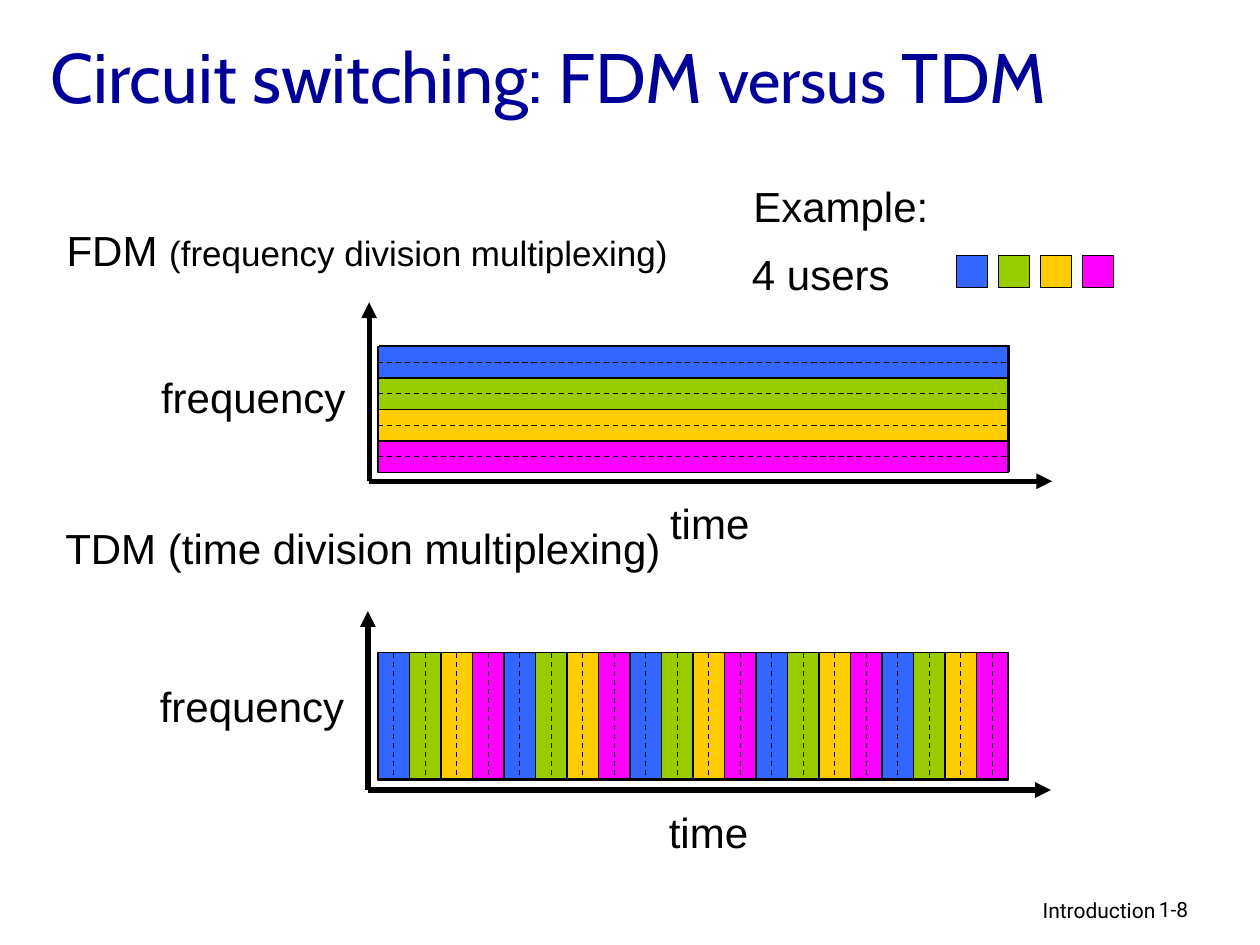
from lxml import etree
from pptx import Presentation
from pptx.dml.color import RGBColor
from pptx.enum import dml, shapes, text
from pptx.oxml.ns import qn
from pptx.util import Inches, Pt

COLORS = {"ink": "000000", "title": "000099", "frame": "00CC99",
          "blue": "3366FF", "green": "99CC00", "gold": "FFCC00", "pink": "FF00FF"}
USERS = ["blue", "green", "gold", "pink"]
BAND = 0.25  # width of one frequency band or time slot


def color(name):
    return RGBColor.from_string(COLORS[name])


def add_spans(para, spans, font, ink="ink"):
    for words, size in spans:
        span = para.add_run()
        span.text = words
        span.font.name = font
        span.font.size = Pt(size)
        span.font.color.rgb = color(ink)


def add_label(page, left, top, width, height, spans, font="Arial",
              wrap=False, align=text.PP_ALIGN.LEFT):
    box = page.shapes.add_textbox(Inches(left), Inches(top), Inches(width), Inches(height))
    frame = box.text_frame
    frame.word_wrap = wrap
    if not wrap:
        frame.auto_size = text.MSO_AUTO_SIZE.SHAPE_TO_FIT_TEXT
    frame.paragraphs[0].alignment = align
    add_spans(frame.paragraphs[0], spans, font)


def add_block(page, left, top, width, height, fill):
    block = page.shapes.add_shape(shapes.MSO_SHAPE.RECTANGLE, Inches(left), Inches(top),
                                  Inches(width), Inches(height))
    block.shadow.inherit = False
    block.fill.solid()
    block.fill.fore_color.rgb = color(fill)
    block.line.color.rgb = color("ink")
    block.line.width = Pt(0.75)


def add_line(page, x1, y1, x2, y2, weight=0.75, dashed=False, arrow=False):
    line = page.shapes.add_connector(shapes.MSO_CONNECTOR.STRAIGHT, Inches(x1), Inches(y1),
                                     Inches(x2), Inches(y2))
    line.line.color.rgb = color("ink")
    line.line.width = Pt(weight)
    if dashed:
        line.line.dash_style = dml.MSO_LINE.DASH
    if arrow:
        etree.SubElement(line.line._get_or_add_ln(), qn("a:tailEnd"), type="triangle")
    etree.SubElement(line._element.spPr, qn("a:effectLst"))


def add_title(page):
    title = page.shapes.title
    title.left, title.top = Inches(0.3), Inches(0.08)
    title.width, title.height = Inches(9.26), Inches(1.04)
    title.text_frame.vertical_anchor = text.MSO_ANCHOR.MIDDLE
    para = title.text_frame.paragraphs[0]
    para.alignment = text.PP_ALIGN.LEFT
    add_spans(para, [("Circuit switching: FDM ", 40), ("versus", 36), (" TDM", 40)],
              "Cabin", "title")


def add_axes(page, left, top):
    """Frequency and time axes; left and top give the tip of the upright one."""
    base = top + 1.42
    add_line(page, left, base, left, top, 3, arrow=True)
    add_line(page, left, base, left + 5.42, base, 3, arrow=True)
    add_label(page, left - 1.75, top + 0.5, 1.67, 0.5, [("frequency", 24)])
    add_label(page, left + 2.29, top + 1.5, 0.83, 0.5, [("time", 24)])
    add_block(page, left + 0.08, top + 0.34, 5, 1, "frame")


def add_bands(page, left, top, width, height, upright):
    """Fill the box with user bands: side by side if upright, else stacked."""
    count = round((width if upright else height) / BAND)

    def rule(step, dashed):
        shift = step * BAND
        if upright:
            add_line(page, left + shift, top, left + shift, top + height, dashed=dashed)
        else:
            add_line(page, left, top + shift, left + width, top + shift, dashed=dashed)

    for i in range(count):
        user = USERS[i % len(USERS)]
        if upright:
            add_block(page, left + i * BAND, top, BAND, height, user)
        else:
            add_block(page, left, top + i * BAND, width, BAND, user)
    for i in range(1, count):
        rule(i, dashed=False)
    for i in range(count):
        rule(i + 0.5, dashed=True)


def add_legend(page, left, top):
    add_label(page, left + 0.01, top, 1.59, 0.5, [("Example:", 24)])
    add_label(page, left, top + 0.54, 1.3, 0.5, [("4 users", 24)])
    for i, user in enumerate(USERS):
        add_block(page, left + 1.72 + i / 3, top + 0.65, BAND, BAND, user)


def add_footer(page, left, top):
    add_label(page, left, top, 3.17, 0.31, [("Introduction", 12)], "Roboto",
              wrap=True, align=text.PP_ALIGN.RIGHT)
    add_label(page, left + 3, top, 0.74, 0.3, [("1-8", 12)], "Roboto", wrap=True)


deck = Presentation()
deck.slide_width, deck.slide_height = Inches(10), Inches(7.5)
page = deck.slides.add_slide(deck.slide_layouts[5])
add_title(page)

# Frequency division
add_label(page, 0.43, 1.73, 5.02, 0.51,
          [("FDM ", 24), ("(frequency division multiplexing)", 20)])
add_axes(page, 2.93, 2.4)
add_bands(page, 3, 2.75, 5, 1, upright=False)

# Time division
add_label(page, 0.42, 4.1, 4.97, 0.51, [("TDM (time division multiplexing)", 24)])
add_axes(page, 2.92, 4.85)
add_bands(page, 3, 5.18, 5, 1, upright=True)

# Legend and footer
add_legend(page, 5.87, 1.38)
add_footer(page, 6.1, 7.07)
deck.save("out.pptx")
